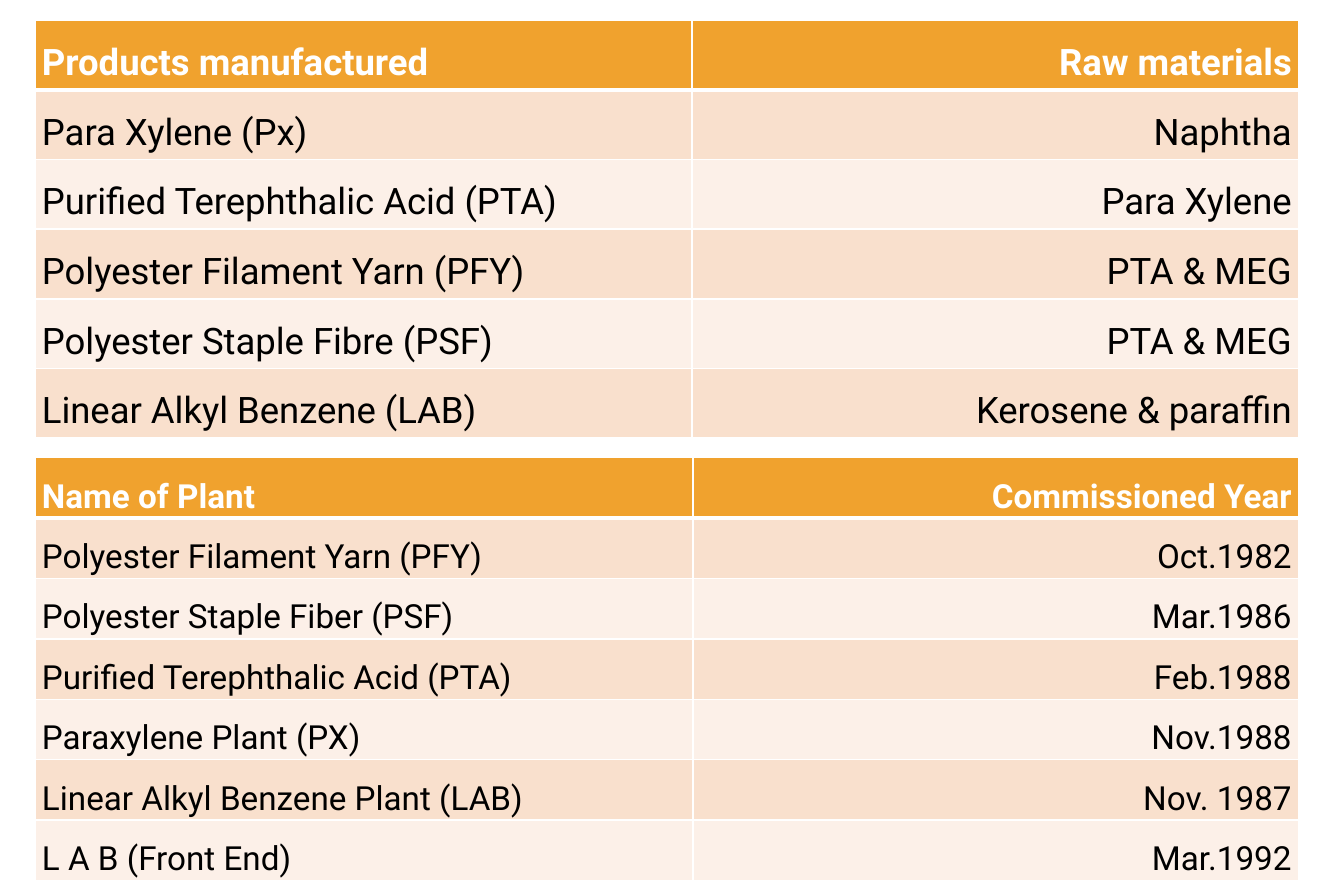
"""Build a slide with two tables: products with raw materials, and plants with their years."""
import dataclasses

import lxml.etree
import pptx
import pptx.dml.color
import pptx.enum.text
import pptx.oxml.ns
import pptx.slide
import pptx.table
import pptx.util

Pt = pptx.util.Pt
FONT = "Roboto"
WHITE = "FFFFFF"
BLACK = "000000"
HEADER_FILL = "F0A22E"
BAND_FILLS = ("FCF0E8", "F9E0CD")
TABLE_LEFT = 21
TABLE_WIDTH = 761.8
ALIGNMENTS = (pptx.enum.text.PP_ALIGN.LEFT, pptx.enum.text.PP_ALIGN.RIGHT)


@dataclasses.dataclass(frozen=True)
class TableSpec:
    top: float
    first_column: float
    row_height: float
    font_size: float
    rows: tuple[tuple[str, str], ...]


TABLES = (
    TableSpec(12.2, 396, 42, 22, (
        ("Products manufactured", "Raw materials"),
        ("Para Xylene (Px)", "Naphtha"),
        ("Purified Terephthalic Acid (PTA)", "Para Xylene"),
        ("Polyester Filament Yarn (PFY)", "PTA & MEG"),
        ("Polyester Staple Fibre (PSF)", "PTA & MEG"),
        ("Linear Alkyl Benzene (LAB)", "Kerosene & paraffin"),
    )),
    TableSpec(275.9, 396.6, 36.4, 20, (
        ("Name of Plant", "Commissioned Year"),
        ("Polyester Filament Yarn (PFY)", "Oct.1982"),
        ("Polyester Staple Fiber (PSF)", "Mar.1986"),
        ("Purified Terephthalic Acid (PTA)", "Feb.1988"),
        ("Paraxylene Plant (PX)", "Nov.1988"),
        ("Linear Alkyl Benzene Plant (LAB)", "Nov. 1987"),
        ("L A B (Front End)", "Mar.1992"),
    )),
)


def color(value: str) -> pptx.dml.color.RGBColor:
    return pptx.dml.color.RGBColor.from_string(value)


def add_borders(cell: pptx.table._Cell, row: int) -> None:
    qn = pptx.oxml.ns.qn
    properties = cell._tc.get_or_add_tcPr()
    widths = {
        "a:lnL": 1,
        "a:lnR": 1,
        "a:lnT": 3 if row == 1 else 1,
        "a:lnB": 3 if row == 0 else 1,
    }
    for tag, width in widths.items():
        line = lxml.etree.SubElement(properties, qn(tag), w=str(Pt(width)))
        fill = lxml.etree.SubElement(line, qn("a:solidFill"))
        lxml.etree.SubElement(fill, qn("a:srgbClr"), val=WHITE)


def format_cell(cell: pptx.table._Cell, text: str, row: int, column: int, size: float) -> None:
    is_header = row == 0
    add_borders(cell, row)
    cell.fill.solid()
    cell.fill.fore_color.rgb = color(HEADER_FILL if is_header else BAND_FILLS[row % 2])
    cell.margin_left = cell.margin_right = Pt(4.3)
    cell.margin_top = cell.margin_bottom = Pt(0)
    cell.text_frame.text = text
    paragraph = cell.text_frame.paragraphs[0]
    paragraph.alignment = ALIGNMENTS[column]
    paragraph.line_spacing = 1.5
    font = paragraph.runs[0].font
    font.name = FONT
    font.size = Pt(size)
    font.bold = is_header
    font.color.rgb = color(WHITE if is_header else BLACK)


def add_table(slide: pptx.slide.Slide, spec: TableSpec) -> None:
    row_count = len(spec.rows)
    table = slide.shapes.add_table(
        row_count, 2, Pt(TABLE_LEFT), Pt(spec.top),
        Pt(TABLE_WIDTH), Pt(spec.row_height * row_count),
    ).table
    table.columns[0].width = Pt(spec.first_column)
    table.columns[1].width = Pt(TABLE_WIDTH - spec.first_column)
    for row, texts in enumerate(spec.rows):
        table.rows[row].height = Pt(spec.row_height)
        for column, text in enumerate(texts):
            format_cell(table.cell(row, column), text, row, column, spec.font_size)


def main() -> None:
    presentation = pptx.Presentation()
    presentation.slide_width = Pt(810)
    presentation.slide_height = Pt(540)
    slide = presentation.slides.add_slide(presentation.slide_layouts[6])
    for spec in TABLES:
        add_table(slide, spec)
    presentation.save("out.pptx")


if __name__ == "__main__":
    main()
